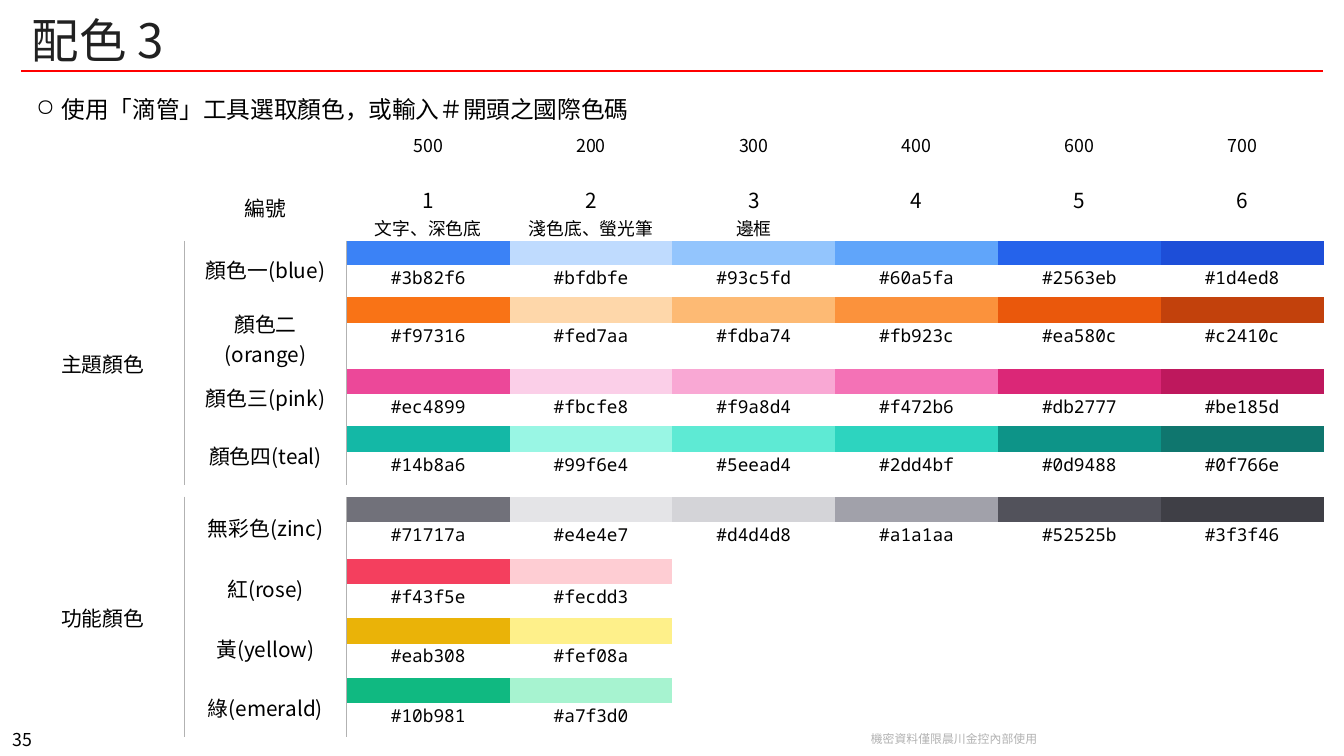
from dataclasses import dataclass

from lxml.etree import SubElement
from pptx import Presentation
from pptx.dml.color import RGBColor
from pptx.enum.shapes import MSO_CONNECTOR
from pptx.enum.text import MSO_ANCHOR, PP_ALIGN
from pptx.oxml import parse_xml
from pptx.oxml.ns import nsdecls, qn
from pptx.util import Inches, Pt


@dataclass(frozen=True)
class Theme:
    sans: str = "Noto Sans CJK TC"
    footer_font: str = "Noto Sans CJK SC"
    mono: str = "Noto Sans Mono"
    text: str = "000000"
    title: str = "212121"
    rule: str = "FF0000"
    muted: str = "B2B2B2"
    title_size: int = 32
    body_size: int = 16
    label_size: int = 14
    small_size: int = 12
    footer_size: int = 8


THEME = Theme()
NO_STYLE_NO_GRID = "{2D5ABB26-0587-4C30-8999-92F81FD0307C}"
LEFT, WIDTH = 0.2, 12.21
INSET = 0.1
SHADE_COLUMN = 2
HEADER_HEIGHTS = [0.49, 0.63]
GAP_HEIGHT = 0.11

SHADES = [
    ("500", "1", "文字、深色底"),
    ("200", "2", "淺色底、螢光筆"),
    ("300", "3", "邊框"),
    ("400", "4", ""),
    ("600", "5", ""),
    ("700", "6", ""),
]
# Each family: label, swatch height, code height, colours
GROUPS = [
    ("主題顏色", [
        ("顏色一(blue)", 0.23, 0.30, "3b82f6 bfdbfe 93c5fd 60a5fa 2563eb 1d4ed8"),
        ("顏色二(orange)", 0.24, 0.43, "f97316 fed7aa fdba74 fb923c ea580c c2410c"),
        ("顏色三(pink)", 0.24, 0.30, "ec4899 fbcfe8 f9a8d4 f472b6 db2777 be185d"),
        ("顏色四(teal)", 0.24, 0.31, "14b8a6 99f6e4 5eead4 2dd4bf 0d9488 0f766e"),
    ]),
    ("功能顏色", [
        ("無彩色(zinc)", 0.24, 0.34, "71717a e4e4e7 d4d4d8 a1a1aa 52525b 3f3f46"),
        ("紅(rose)", 0.24, 0.32, "f43f5e fecdd3"),
        ("黃(yellow)", 0.24, 0.32, "eab308 fef08a"),
        ("綠(emerald)", 0.24, 0.32, "10b981 a7f3d0"),
    ]),
]


def rgb(value):
    return RGBColor.from_string(value.upper())


def add_text(frame, text, size=THEME.label_size, font=THEME.sans, color=THEME.text,
             alignment=PP_ALIGN.CENTER, line_spacing=None):
    """Fill the first paragraph if it is empty, otherwise add a new one."""
    paragraph = frame.paragraphs[0]
    if paragraph.runs:
        paragraph = frame.add_paragraph()
    paragraph.alignment = alignment
    if line_spacing:
        paragraph.line_spacing = line_spacing
    run = paragraph.add_run()
    run.text = text
    run.font.size = Pt(size)
    run.font.color.rgb = rgb(color)
    run.font.name = font
    SubElement(run.font._element, qn("a:ea"), typeface=font)
    return paragraph


def clear_cell(cell):
    """Remove fill and insets, and keep the empty line from stretching its row."""
    cell.fill.background()
    set_insets(cell, 0, 0, 0)
    SubElement(cell.text_frame.paragraphs[0]._p, qn("a:endParaRPr"), sz="100")


def set_insets(cell, side, top, bottom):
    cell.margin_left = cell.margin_right = Inches(side)
    cell.margin_top, cell.margin_bottom = Inches(top), Inches(bottom)


def fill_cell(cell, text, top=INSET, bottom=0, middle=False, **text_format):
    set_insets(cell, INSET, top, bottom)
    cell.vertical_anchor = MSO_ANCHOR.MIDDLE if middle else MSO_ANCHOR.TOP
    add_text(cell.text_frame, text, **text_format)


def add_border(cell, side):
    border = parse_xml(
        f'<a:{side} {nsdecls("a")} w="{Pt(0.75)}"><a:solidFill>'
        f'<a:srgbClr val="{THEME.muted}"/></a:solidFill></a:{side}>')
    cell._tc.get_or_add_tcPr().insert(0, border)


class PaletteSlide:
    def __init__(self, presentation):
        self.theme = THEME
        self.slide = presentation.slides.add_slide(presentation.slide_layouts[6])

    def text_box(self, text, left, top, width, height, anchor=MSO_ANCHOR.MIDDLE,
                 vertical_inset=0.05, wrap=True, **text_format):
        shape = self.slide.shapes.add_textbox(
            Inches(left), Inches(top), Inches(width), Inches(height))
        frame = shape.text_frame
        frame.word_wrap = wrap
        frame.vertical_anchor = anchor
        frame.margin_left = frame.margin_right = Inches(INSET)
        frame.margin_top = frame.margin_bottom = Inches(vertical_inset)
        return add_text(frame, text, **text_format)

    def bullet(self, text, *position):
        paragraph = self.text_box(
            text, *position, anchor=MSO_ANCHOR.TOP, vertical_inset=INSET,
            size=self.theme.body_size, alignment=PP_ALIGN.LEFT)
        paragraph.space_before = Pt(6)
        properties = paragraph._p.get_or_add_pPr()
        properties.set("marL", str(Inches(0.28)))
        properties.set("indent", str(Inches(-0.24)))
        color = SubElement(properties, qn("a:buClr"))
        SubElement(color, qn("a:srgbClr"), val=self.theme.text)
        SubElement(properties, qn("a:buChar"), char="○")

    def rule(self, left, right, top):
        line = self.slide.shapes.add_connector(
            MSO_CONNECTOR.STRAIGHT, Inches(left), Inches(top), Inches(right), Inches(top))
        line.line.color.rgb = rgb(self.theme.rule)
        line.line.width = Pt(1.25)
        SubElement(line._element.spPr, qn("a:effectLst"))

    def empty_table(self, top, heights, column_count):
        frame = self.slide.shapes.add_table(
            len(heights), column_count, Inches(LEFT), Inches(top),
            Inches(WIDTH), Inches(sum(heights)))
        table = frame.table
        table.first_row = table.horz_banding = False
        table._tbl.tblPr.find(qn("a:tableStyleId")).text = NO_STYLE_NO_GRID
        for column in table.columns:
            column.width = Inches(WIDTH / column_count)
        for row, height in zip(table.rows, heights):
            row.height = Inches(height)
        for cell in table.iter_cells():
            clear_cell(cell)
        return table

    def palette_table(self, top):
        heights = list(HEADER_HEIGHTS)
        for index, (_, families) in enumerate(GROUPS):
            if index:
                heights.append(GAP_HEIGHT)
            for _, swatch_height, code_height, _ in families:
                heights += [swatch_height, code_height]
        table = self.empty_table(top, heights, SHADE_COLUMN + len(SHADES))
        self.header(table)
        row = len(HEADER_HEIGHTS)
        for name, families in GROUPS:
            self.group(table, row, name, families)
            row += 2 * len(families) + 1

    def header(self, table):
        fill_cell(table.cell(1, 1), "編號", bottom=INSET, middle=True)
        for column, (shade, number, usage) in enumerate(SHADES, SHADE_COLUMN):
            fill_cell(table.cell(0, column), shade, size=self.theme.small_size)
            fill_cell(table.cell(1, column), number)
            if usage:
                add_text(table.cell(1, column).text_frame, usage, size=self.theme.small_size)

    def group(self, table, first_row, name, families):
        last_row = first_row + 2 * len(families) - 1
        for row in range(first_row, last_row + 1):
            add_border(table.cell(row, 0), "lnR")
            add_border(table.cell(row, 1), "lnL")
        group_cell = table.cell(first_row, 0)
        group_cell.merge(table.cell(last_row, 0))
        fill_cell(group_cell, name, bottom=INSET, middle=True)
        for index, (label, _, code_height, colors) in enumerate(families):
            row = first_row + 2 * index
            label_cell = table.cell(row, 1)
            label_cell.merge(table.cell(row + 1, 1))
            wraps = code_height > 0.4
            fill_cell(label_cell, label, bottom=0 if wraps else INSET, middle=True)
            for column, color in enumerate(colors.split(), SHADE_COLUMN):
                swatch = table.cell(row, column)
                swatch.fill.solid()
                swatch.fill.fore_color.rgb = rgb(color)
                fill_cell(table.cell(row + 1, column), f"#{color}", top=0,
                          size=self.theme.small_size, font=self.theme.mono)


def main():
    presentation = Presentation()
    presentation.slide_width, presentation.slide_height = Inches(12.6), Inches(7.09)
    page = PaletteSlide(presentation)
    page.text_box("35", 0, 6.82, 0.42, 0.26, anchor=MSO_ANCHOR.BOTTOM, wrap=False,
                  size=THEME.small_size, line_spacing=0.83)
    page.text_box("機密資料僅限晨川金控內部使用", 8.05, 6.81, 1.79, 0.23,
                  size=THEME.footer_size, font=THEME.footer_font, color=THEME.muted,
                  line_spacing=Pt(9.6))
    page.rule(LEFT, 12.4, 0.67)
    page.text_box("配色 3", LEFT, 0.08, WIDTH, 0.59, size=THEME.title_size,
                  color=THEME.title, alignment=PP_ALIGN.LEFT)
    page.bullet("使用「滴管」工具選取顏色，或輸入＃開頭之國際色碼", LEFT, 0.79, WIDTH, 0.56)
    page.palette_table(1.14)
    presentation.save("out.pptx")


if __name__ == "__main__":
    main()
